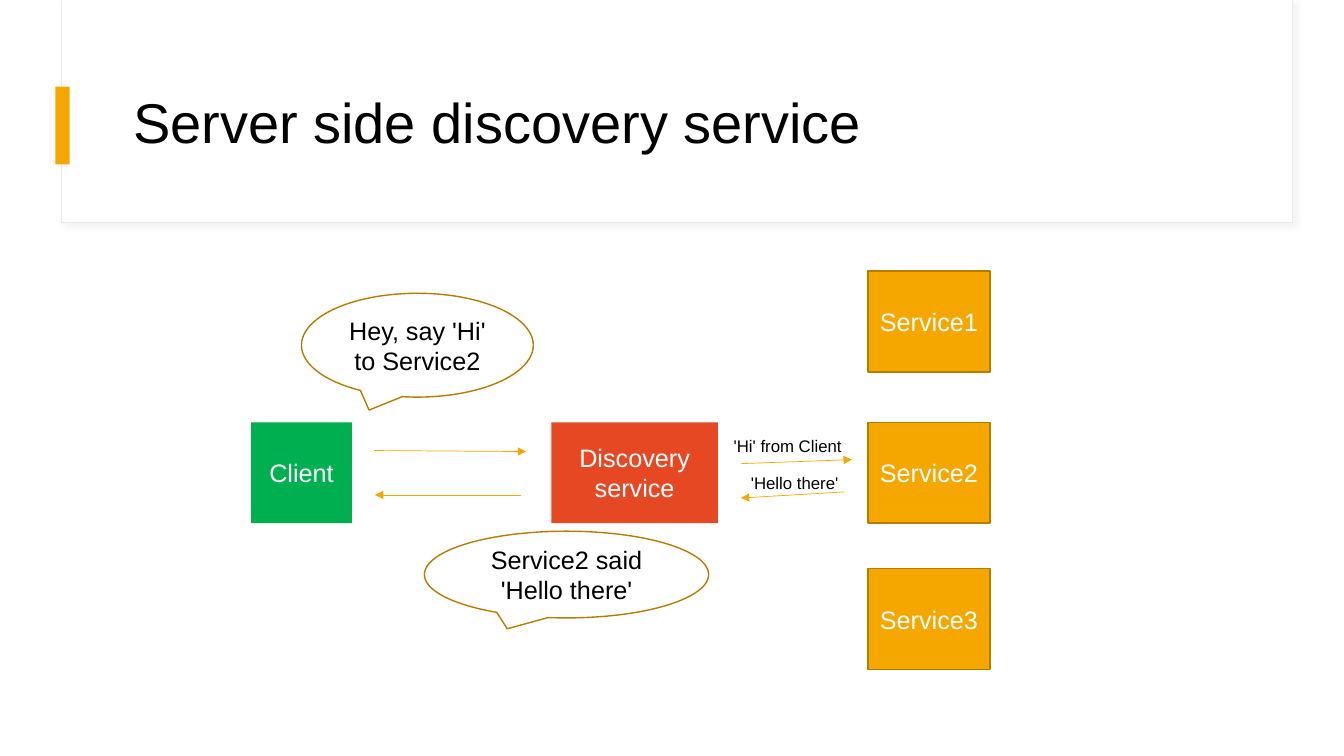
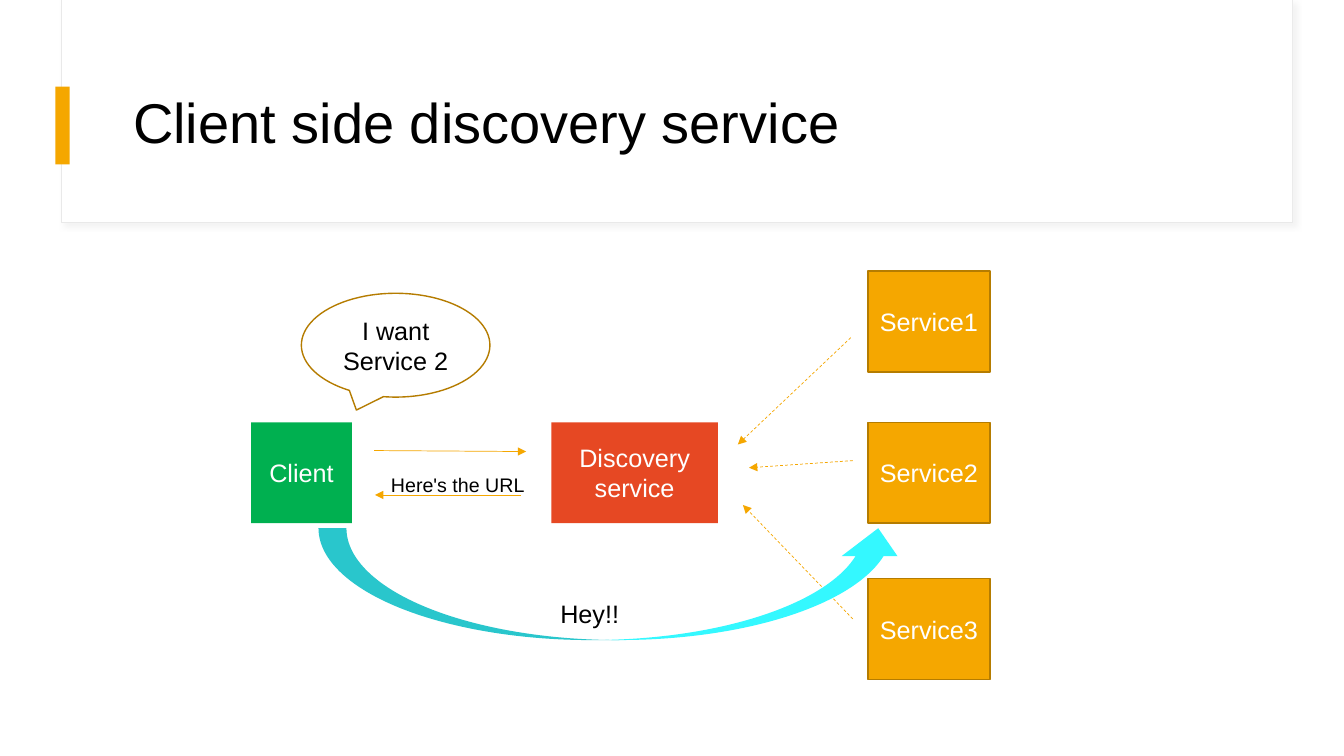
from dataclasses import dataclass

from lxml.etree import SubElement
from pptx import Presentation
from pptx.dml.color import RGBColor
from pptx.enum.dml import MSO_LINE
from pptx.enum.shapes import MSO_CONNECTOR, MSO_SHAPE
from pptx.enum.text import MSO_ANCHOR, MSO_AUTO_SIZE, PP_ALIGN
from pptx.oxml.ns import qn
from pptx.util import Inches, Pt


@dataclass(frozen=True)
class Theme:
    """Fonts, colours, type sizes and line widths of the deck."""
    font: str = "Arial"
    black: str = "000000"
    white: str = "FFFFFF"
    gold: str = "F5A700"
    brown: str = "B57C00"
    green: str = "00B050"
    red: str = "E64823"
    cyan: str = "34F8FF"
    edge: str = "E9E9E9"
    shade: str = "D9D9D9"
    title: int = 40
    body: int = 18
    label: int = 14
    small: int = 12
    thin: float = 0.5
    hair: float = 0.75
    rule: float = 1


T = Theme()
WIDE, HIGH = Inches(13.33), Inches(7.5)
ROW, TALL = 55.87, 13.33


def paint(name):
    """Turn a hex string into a colour."""
    return RGBColor.from_string(name)


def place(*spots):
    """Turn percent shares of the slide, x and y in turn, into lengths."""
    return [round((HIGH if n % 2 else WIDE) * s / 100) for n, s in enumerate(spots)]


def write(shape, text, size, ink, align=PP_ALIGN.LEFT):
    """Put one run of text into a shape."""
    line = shape.text_frame.paragraphs[0]
    line.alignment = align
    run = line.add_run()
    run.text = text
    font = run.font
    font.name, font.size = T.font, Pt(size)
    font.color.rgb = paint(ink)
    return line


def draw(slide, kind, spot, fill=None, edge=None, width=T.rule):
    """Add a preset shape with a plain fill and edge."""
    shape = slide.shapes.add_shape(kind, *place(*spot))
    shape.shadow.inherit = False
    if fill:
        shape.fill.solid()
        shape.fill.fore_color.rgb = paint(fill)
    else:
        shape.fill.background()
    if edge:
        shape.line.color.rgb = paint(edge)
        shape.line.width = Pt(width)
    else:
        shape.line.fill.background()
    return shape


def box(slide, text, spot, fill, edge=None):
    """Add a filled box with a white name."""
    shape = draw(slide, MSO_SHAPE.RECTANGLE, spot, fill, edge)
    shape.text_frame.vertical_anchor = MSO_ANCHOR.MIDDLE
    write(shape, text, T.body, T.white, PP_ALIGN.CENTER)


def bubble(slide, text, spot):
    """Add a speech bubble."""
    shape = draw(slide, MSO_SHAPE.OVAL_CALLOUT, spot, edge=T.brown)
    shape.text_frame.vertical_anchor = MSO_ANCHOR.MIDDLE
    write(shape, text, T.body, T.black, PP_ALIGN.CENTER)


def note(slide, text, spot, size):
    """Add a loose line of text."""
    shape = slide.shapes.add_textbox(*place(*spot))
    shape.text_frame.word_wrap = True
    shape.text_frame.auto_size = MSO_AUTO_SIZE.SHAPE_TO_FIT_TEXT
    write(shape, text, size, T.black)


def arrow(slide, ends, dash=False):
    """Add a thin arrow that points at its second end."""
    link = slide.shapes.add_connector(MSO_CONNECTOR.STRAIGHT, *place(*ends))
    link.line.color.rgb = paint(T.gold)
    link.line.width = Pt(T.thin)
    if dash:
        link.line.dash_style = MSO_LINE.DASH
    part = link.element.spPr
    SubElement(part.find(qn("a:ln")), qn("a:tailEnd"), type="triangle")
    SubElement(part, qn("a:effectLst"))


def shade(shape):
    """Give a shape a faint shadow."""
    glow = SubElement(shape.element.spPr.find(qn("a:effectLst")), qn("a:outerShdw"),
                      blurRad=str(Pt(4)), dist=str(Pt(3)), dir="2700000",
                      algn="tl", rotWithShape="0")
    tint = SubElement(glow, qn("a:srgbClr"), val=T.shade)
    SubElement(tint, qn("a:alpha"), val="30000")


def frame(layout, slide):
    """Set the title place and move the shared bands to the layout."""
    head = layout.placeholders[0]
    head.left, head.top, head.width, head.height = place(9.15, 8, 83.4, 17.2)
    rect = MSO_SHAPE.RECTANGLE
    back = draw(slide, rect, (4.58, 0, 91.58, 29.47), T.white, T.edge, T.hair)
    shade(back)
    front = draw(slide, rect, (4.65, 0, 91.5, 29.33), T.white)
    tab = draw(slide, rect, (4.13, 11.47, 1.05, 10.27), T.gold)
    for n, band in enumerate((back, front, tab)):
        band.element.nvSpPr.cNvPr.set("id", str(20 + n))
        layout.shapes.element.insert(2 + n, band.element)


def title(slide, text):
    """Fill the title."""
    head = slide.shapes.title
    head.text_frame.auto_size = MSO_AUTO_SIZE.NONE
    head.text_frame.vertical_anchor = MSO_ANCHOR.MIDDLE
    write(head, text, T.title, T.black).line_spacing = 0.9


def actors(slide, last):
    """Add the client, the broker, three services and the call arrows."""
    box(slide, "Client", (18.68, ROW, 7.5, TALL), T.green)
    box(slide, "Discovery service", (41.03, ROW, 12.38, TALL), T.red)
    for n, top in enumerate((ROW - 20, ROW, last), 1):
        box(slide, f"Service{n}", (64.58, top, 9.08, TALL), T.gold, T.brown)
    arrow(slide, (38.78, 65.47, 27.9, 65.47))
    arrow(slide, (27.83, 59.6, 39.15, 59.73))


def server(slide):
    """Build the server side slide."""
    title(slide, "Server side discovery service")
    actors(slide, 75.2)
    bubble(slide, "Hey, say 'Hi' to Service2", (22.43, 38.8, 17.25, 13.73))
    arrow(slide, (62.85, 65.07, 55.13, 65.87))
    arrow(slide, (55.13, 61.33, 63.38, 60.8))
    note(slide, "'Hi' from Client", (53.85, 56.93, 10.88, 4), T.small)
    note(slide, "'Hello there'", (55.13, 61.87, 13.58, 4), T.small)
    bubble(slide, "Service2 said 'Hello there'", (31.58, 70.27, 21.15, 11.47))


def client(slide):
    """Build the client side slide."""
    title(slide, "Client side discovery service")
    actors(slide, 76.53)
    bubble(slide, "I want Service 2", (22.43, 38.8, 14.03, 13.73))
    for ends in ((63.3, 44.67, 54.9, 58.8), (63.45, 60.93, 55.73, 61.87),
                 (63.45, 81.87, 55.28, 66.8)):
        arrow(slide, ends, dash=True)
    draw(slide, MSO_SHAPE.CURVED_UP_ARROW, (23.7, 69.87, 43.73, 14.8), T.cyan)
    note(slide, "Here's the URL", (28.35, 61.87, 22.5, 4.53), T.label)
    note(slide, "Hey!!", (40.95, 78.53, 7.2, 5.33), T.body)


def main():
    """Build and save the deck."""
    deck = Presentation()
    deck.slide_width, deck.slide_height = WIDE, HIGH
    layout = deck.slide_layouts[5]
    first, second = [deck.slides.add_slide(layout) for _ in range(2)]
    frame(layout, first)
    server(first)
    client(second)
    deck.save("out.pptx")


if __name__ == "__main__":
    main()
